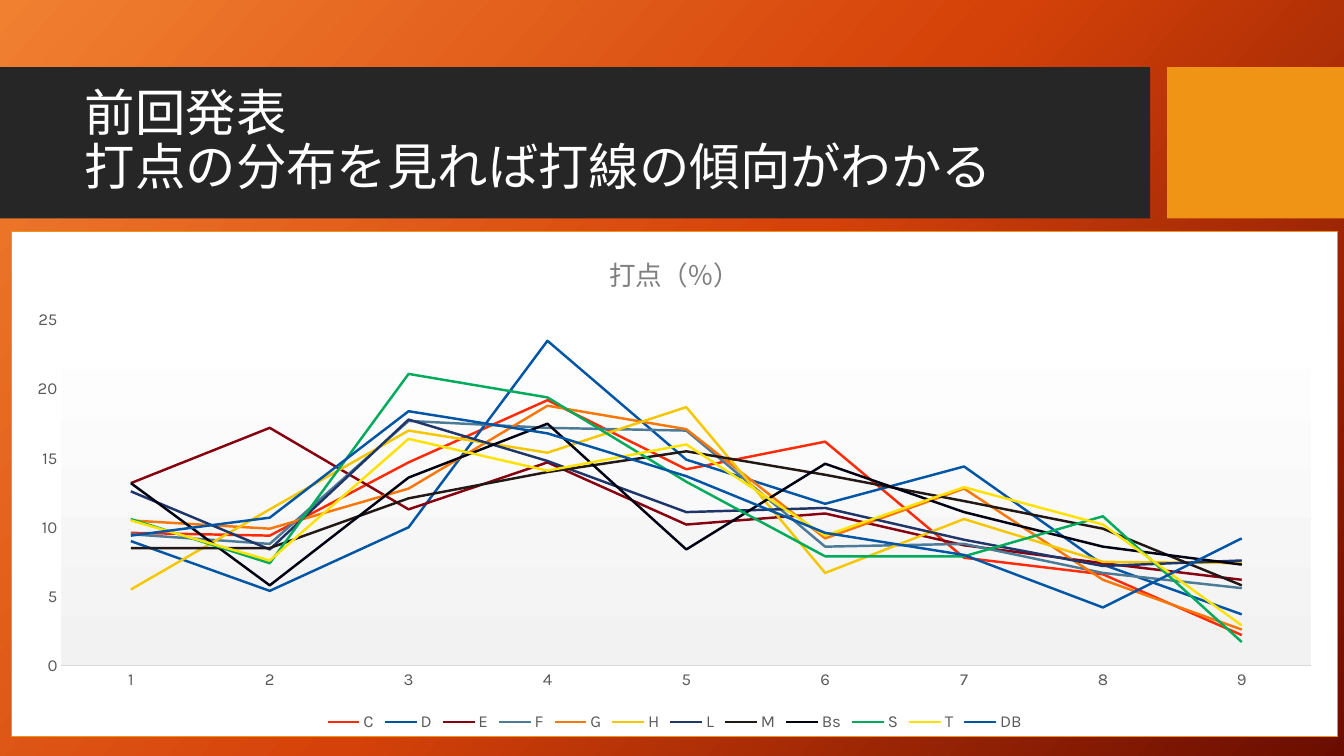
from dataclasses import dataclass

import pptx
import pptx.chart.data
import pptx.dml.color
import pptx.enum.chart
import pptx.enum.shapes
import pptx.enum.text
import pptx.oxml
import pptx.oxml.ns
import pptx.util

Pt = pptx.util.Pt
qn = pptx.oxml.ns.qn

FONT = "Karla"
SLIDE_SIZE = {"slide_width": Pt(960), "slide_height": Pt(540)}
BAND_TOP, BAND_HEIGHT = Pt(48), Pt(108)
TITLE_BOX = {"left": Pt(53.5), "top": Pt(59.25), "width": Pt(756.5), "height": Pt(85)}
CHART_BOX = {"x": Pt(8), "y": Pt(165.25), "cx": Pt(948), "cy": Pt(361)}
PLOT_PERCENT = {"x": 3.75, "y": 17.5, "w": 94.25, "h": 68.5}
BATTING_ORDER = range(1, 10)

COLORS = {
    "band": "262626", "accent": "F09415", "white": "FFFFFF", "label": "595959",
    "chart title": "7F7F7F", "axis": "D9D9D9", "plot end": "F2F2F2",
    "bg start": "F18031", "bg middle": "D54209", "bg end": "6A0D00",
    "C": "FF2B06", "D": "0055A5", "E": "860010", "F": "4C7B98",
    "G": "F97709", "H": "F5C700", "L": "1F366A", "M": "221815",
    "Bs": "000013", "S": "00AB5C", "T": "FFE201", "DB": "0055A5",
}


@dataclass
class Band:
    left: float
    width: float
    color: str


@dataclass
class Team:
    name: str
    shares: tuple[float, ...]


BANDS = [Band(0, 821.5, "band"), Band(833.75, 126.25, "accent")]

TEAMS = [
    Team("C", (9.6, 9.4, 14.7, 19.2, 14.2, 16.2, 7.8, 6.6, 2.2)),
    Team("D", (9, 5.4, 10, 23.5, 14.9, 11.7, 14.4, 7.3, 3.7)),
    Team("E", (13.2, 17.2, 11.3, 14.7, 10.2, 11, 8.7, 7.4, 6.2)),
    Team("F", (9.5, 8.8, 17.7, 17.2, 17, 8.6, 8.8, 6.7, 5.6)),
    Team("G", (10.5, 9.9, 12.8, 18.8, 17.1, 9.2, 12.8, 6.2, 2.6)),
    Team("H", (5.5, 11.3, 17, 15.4, 18.7, 6.7, 10.6, 7.5, 7.4)),
    Team("L", (12.6, 8.4, 17.8, 14.8, 11.1, 11.4, 9.1, 7.2, 7.6)),
    Team("M", (8.5, 8.5, 12.1, 14, 15.5, 13.8, 11.9, 9.9, 5.8)),
    Team("Bs", (13.2, 5.8, 13.6, 17.5, 8.4, 14.6, 11.1, 8.6, 7.3)),
    Team("S", (10.6, 7.4, 21.1, 19.4, 13.3, 7.9, 7.9, 10.8, 1.7)),
    Team("T", (10.5, 7.6, 16.4, 14.1, 16, 9.4, 12.9, 10.2, 2.9)),
    Team("DB", (9.4, 10.7, 18.4, 16.8, 13.7, 9.6, 8, 4.2, 9.2)),
]


def rgb(name: str) -> pptx.dml.color.RGBColor:
    return pptx.dml.color.RGBColor.from_string(COLORS[name])


def set_attrs(obj: object, values: dict) -> None:
    for name, value in values.items():
        setattr(obj, name, value)


def set_font(font, size: float, color: str) -> None:
    set_attrs(font, {"name": FONT, "size": Pt(size), "bold": False})
    font.color.rgb = rgb(color)


def set_line(line, width: float, color: str) -> None:
    line.color.rgb = rgb(color)
    line.width = Pt(width)


def element(tag: str, content: str):
    """Return a new XML element such as c:spPr that holds the given markup."""
    return pptx.oxml.parse_xml(
        f'<{tag} {pptx.oxml.ns.nsdecls("a", "c")}>{content}</{tag}>')


def solid(name: str) -> str:
    return f'<a:solidFill><a:srgbClr val="{COLORS[name]}"/></a:solidFill>'


def gradient(names: list[str], angle: int):
    """Return a gradient element with evenly spaced stops and a clockwise angle."""
    stops = "".join(
        f'<a:gs pos="{100000 * i // (len(names) - 1)}">'
        f'<a:srgbClr val="{COLORS[name]}"/></a:gs>'
        for i, name in enumerate(names))
    return element("a:gradFill", f'<a:gsLst>{stops}</a:gsLst>'
                                 f'<a:lin ang="{angle * 60000}" scaled="0"/>')


def set_background(s) -> None:
    s.background.fill.solid()
    fill = next(s.background._cSld.iter(qn("a:solidFill")))
    fill.getparent().replace(fill, gradient(["bg start", "bg middle", "bg end"], 42))


def add_band(s, band: Band) -> None:
    sp = s.shapes.add_shape(pptx.enum.shapes.MSO_SHAPE.RECTANGLE,
                            Pt(band.left), BAND_TOP, Pt(band.width), BAND_HEIGHT)
    sp.shadow.inherit = False
    sp.fill.solid()
    sp.fill.fore_color.rgb = rgb(band.color)
    sp.line.fill.background()


def set_title(s, text: str) -> None:
    sp = s.shapes.title
    set_attrs(sp, TITLE_BOX)
    tf = sp.text_frame
    set_attrs(tf, {"text": text, "word_wrap": True,
                   "auto_size": pptx.enum.text.MSO_AUTO_SIZE.NONE,
                   "vertical_anchor": pptx.enum.text.MSO_ANCHOR.MIDDLE})
    p = tf.paragraphs[0]
    set_attrs(p, {"alignment": pptx.enum.text.PP_ALIGN.LEFT, "line_spacing": 0.9})
    for r in p.runs:
        set_font(r.font, 36, "white")
    s.shapes._spTree.append(sp._element)  # in front of the bands


def style_chart_area(chart) -> None:
    border = f'<a:ln w="{Pt(0.75)}">{solid("accent")}</a:ln>'
    text_format = chart._chartSpace.find(qn("c:txPr"))
    text_format.addprevious(element("c:spPr", solid("white") + border))


def style_plot_area(chart) -> None:
    """Place the inner plot by PLOT_PERCENT and give it a gradient."""
    area = next(chart._chartSpace.iter(qn("c:plotArea")))
    for layout in area.findall(qn("c:layout")):
        area.remove(layout)
    places = "".join(f'<c:{side} val="{percent / 100}"/>'
                     for side, percent in PLOT_PERCENT.items())
    area.insert(0, element(
        "c:layout",
        '<c:manualLayout><c:layoutTarget val="inner"/><c:xMode val="edge"/>'
        f'<c:yMode val="edge"/>{places}</c:manualLayout>'))
    format_element = element("c:spPr", "")
    format_element.append(gradient(["white", "plot end"], 90))
    area.append(format_element)


def style_axes(chart) -> None:
    no_tick = pptx.enum.chart.XL_TICK_MARK.NONE
    for axis in (chart.category_axis, chart.value_axis):
        set_attrs(axis, {"has_major_gridlines": False, "major_tick_mark": no_tick,
                         "minor_tick_mark": no_tick})
        set_font(axis.tick_labels.font, 12, "label")
    set_line(chart.category_axis.format.line, 0.75, "axis")
    set_attrs(chart.value_axis, {"minimum_scale": 0, "maximum_scale": 25, "major_unit": 5})
    chart.value_axis.format.line.fill.background()


def style_title_and_legend(chart, title: str) -> None:
    set_attrs(chart, {"has_title": True, "has_legend": True})
    tf = chart.chart_title.text_frame
    tf.text = title
    set_font(tf.paragraphs[0].runs[0].font, 19, "chart title")
    set_attrs(chart.legend, {"position": pptx.enum.chart.XL_LEGEND_POSITION.BOTTOM,
                             "include_in_layout": False})
    set_font(chart.legend.font, 12, "label")


def add_rbi_chart(s) -> None:
    data = pptx.chart.data.CategoryChartData()
    data.categories = [str(n) for n in BATTING_ORDER]
    for team in TEAMS:
        data.add_series(team.name, team.shares)
    chart = s.shapes.add_chart(pptx.enum.chart.XL_CHART_TYPE.LINE,
                               **CHART_BOX, chart_data=data).chart
    set_font(chart.font, 10, "label")
    chart.plots[0].vary_by_categories = False
    for series in chart.plots[0].series:
        series.smooth = False
        set_line(series.format.line, 1.75, series.name)
    style_title_and_legend(chart, "打点（％）")
    style_axes(chart)
    style_chart_area(chart)
    style_plot_area(chart)


def main() -> None:
    prs = pptx.Presentation()
    set_attrs(prs, SLIDE_SIZE)
    s = prs.slides.add_slide(prs.slide_layouts.get_by_name("Title Only"))
    set_background(s)
    for band in BANDS:
        add_band(s, band)
    set_title(s, "前回発表\v打点の分布を見れば打線の傾向がわかる")
    add_rbi_chart(s)
    prs.save("out.pptx")


if __name__ == "__main__":
    main()
